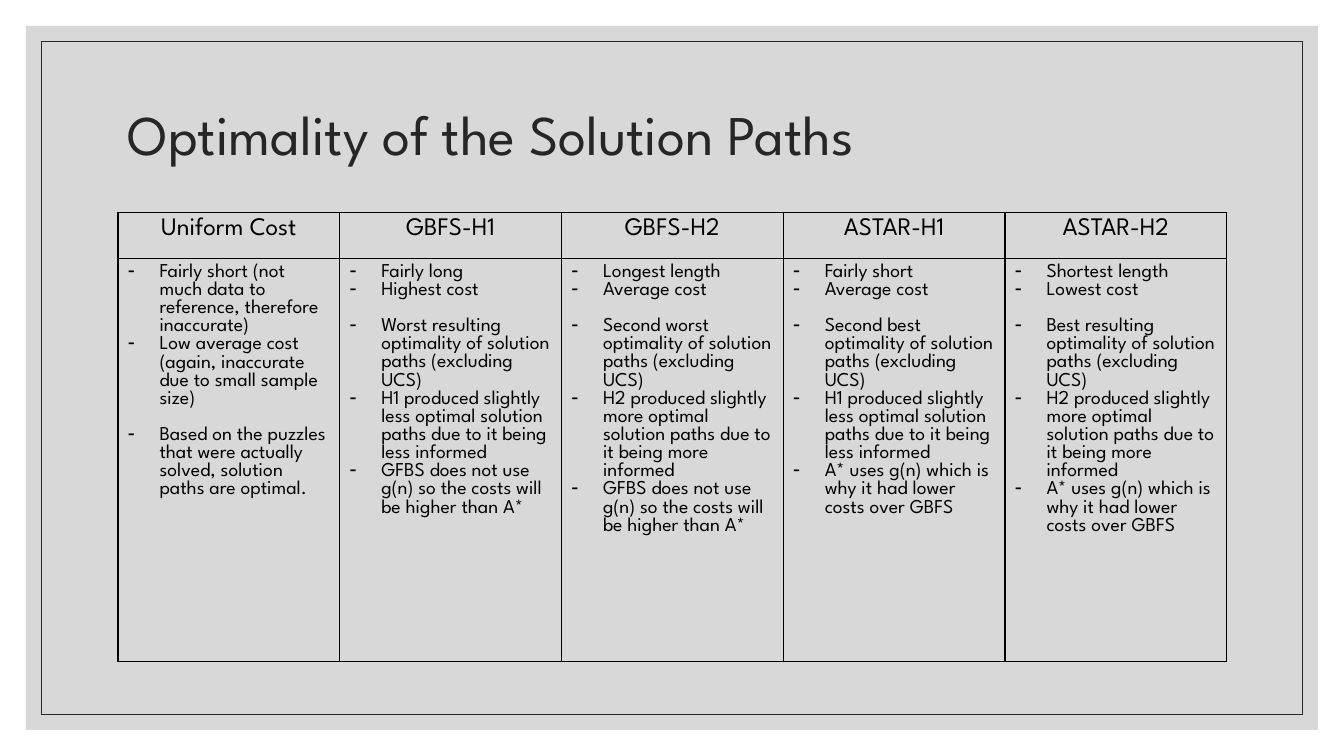
from dataclasses import dataclass
from typing import Optional

from lxml.etree import SubElement
from pptx import Presentation
from pptx.dml.color import RGBColor
from pptx.enum.shapes import MSO_SHAPE
from pptx.enum.text import MSO_ANCHOR, PP_ALIGN
from pptx.oxml.ns import qn
from pptx.util import Pt

FONT = "League Spartan"
INK = "262626"
BLACK = "000000"
PANEL_GREY = "BFBFBF"
SLIDE_WIDTH, SLIDE_HEIGHT = 960, 540
CONTENT_LEFT, CONTENT_WIDTH = 84.24, 792
HEADER_HEIGHT, FINDINGS_HEIGHT = 32.8, 287.8
FINDING_INDENT = 22.5
GROUP_GAP = 12.9


@dataclass(frozen=True)
class Frame:
    margin: float
    fill: Optional[str] = None
    opacity: int = 100
    line: Optional[str] = None


@dataclass(frozen=True)
class Algorithm:
    name: str
    measures: tuple[str, ...]
    conclusions: tuple[str, ...]


FRAMES = (
    Frame(18.6, fill=PANEL_GREY, opacity=60),
    Frame(29.4, line=INK),
)

H1_EFFECT = "H1 produced slightly less optimal solution paths due to it being less informed"
H2_EFFECT = "H2 produced slightly more optimal solution paths due to it being more informed"
GREEDY_COST = "GFBS does not use g(n) so the costs will be higher than A*"
ASTAR_COST = "A* uses g(n) which is why it had lower costs over GBFS"


def ranking(place: str) -> str:
    return f"{place} optimality of solution paths (excluding UCS)"


ALGORITHMS = (
    Algorithm(
        "Uniform Cost",
        (
            "Fairly short (not much data to reference, therefore inaccurate)",
            "Low average cost (again, inaccurate due to small sample size)",
        ),
        ("Based on the puzzles that were actually solved, solution paths are optimal.",),
    ),
    Algorithm("GBFS-H1", ("Fairly long", "Highest cost"),
              (ranking("Worst resulting"), H1_EFFECT, GREEDY_COST)),
    Algorithm("GBFS-H2", ("Longest length", "Average cost"),
              (ranking("Second worst"), H2_EFFECT, GREEDY_COST)),
    Algorithm("ASTAR-H1", ("Fairly short", "Average cost"),
              (ranking("Second best"), H1_EFFECT, ASTAR_COST)),
    Algorithm("ASTAR-H2", ("Shortest length", "Lowest cost"),
              (ranking("Best resulting"), H2_EFFECT, ASTAR_COST)),
)


def color(value: str) -> RGBColor:
    return RGBColor.from_string(value)


def add_run(paragraph, text: str, size: float, ink: str) -> None:
    run = paragraph.add_run()
    run.text = text
    run.font.name = FONT
    run.font.size = Pt(size)
    run.font.color.rgb = color(ink)


def draw_frame(slide, frame: Frame) -> None:
    panel = slide.shapes.add_shape(
        MSO_SHAPE.RECTANGLE, Pt(frame.margin), Pt(frame.margin),
        Pt(SLIDE_WIDTH - 2 * frame.margin), Pt(SLIDE_HEIGHT - 2 * frame.margin))
    panel.shadow.inherit = False
    if frame.fill:
        panel.fill.solid()
        panel.fill.fore_color.rgb = color(frame.fill)
        tint = panel.fill._xPr.find(f"{qn('a:solidFill')}/{qn('a:srgbClr')}")
        SubElement(tint, qn("a:alpha"), val=str(frame.opacity * 1000))
    else:
        panel.fill.background()
    if frame.line:
        panel.line.color.rgb = color(frame.line)
        panel.line.width = Pt(0.5)
    else:
        panel.line.fill.background()


def draw_title(slide, text: str) -> None:
    title = slide.shapes.add_textbox(
        Pt(CONTENT_LEFT), Pt(43.92), Pt(CONTENT_WIDTH), Pt(108)).text_frame
    title.word_wrap = True
    title.vertical_anchor = MSO_ANCHOR.MIDDLE
    heading = title.paragraphs[0]
    heading.line_spacing = 0.9
    add_run(heading, text, 40, INK)


def style_cell(cell) -> None:
    properties = cell._tc.get_or_add_tcPr()
    for side in ("L", "R", "T", "B"):
        border = SubElement(properties, qn(f"a:ln{side}"), w=str(Pt(1)))
        paint = SubElement(border, qn("a:solidFill"))
        SubElement(paint, qn("a:srgbClr"), val=BLACK)
    cell.fill.background()


def write_finding(paragraph, text: str, gap: float) -> None:
    paragraph.space_before = Pt(gap)
    properties = paragraph._p.get_or_add_pPr()
    properties.set("marL", str(Pt(FINDING_INDENT)))
    properties.set("indent", str(-Pt(FINDING_INDENT)))
    SubElement(properties, qn("a:buChar"), char="-")
    add_run(paragraph, text, 14, BLACK)


def fill_column(header, body, algorithm: Algorithm) -> None:
    for cell in (header, body):
        style_cell(cell)
    name = header.text_frame.paragraphs[0]
    name.alignment = PP_ALIGN.CENTER
    add_run(name, algorithm.name, 18, BLACK)
    findings = body.text_frame
    for index, text in enumerate(algorithm.measures + algorithm.conclusions):
        paragraph = findings.add_paragraph() if index else findings.paragraphs[0]
        gap = GROUP_GAP if index == len(algorithm.measures) else 0
        write_finding(paragraph, text, gap)


def draw_comparison(slide, algorithms: tuple[Algorithm, ...]) -> None:
    comparison = slide.shapes.add_table(
        2, len(algorithms), Pt(CONTENT_LEFT), Pt(151.92),
        Pt(CONTENT_WIDTH), Pt(HEADER_HEIGHT + FINDINGS_HEIGHT)).table
    comparison.first_row = False
    comparison.horz_banding = False
    comparison.rows[0].height = Pt(HEADER_HEIGHT)
    comparison.rows[1].height = Pt(FINDINGS_HEIGHT)
    for index, algorithm in enumerate(algorithms):
        comparison.columns[index].width = Pt(CONTENT_WIDTH / len(algorithms))
        fill_column(comparison.cell(0, index), comparison.cell(1, index), algorithm)


def main() -> None:
    presentation = Presentation()
    presentation.slide_width = Pt(SLIDE_WIDTH)
    presentation.slide_height = Pt(SLIDE_HEIGHT)
    slide = presentation.slides.add_slide(presentation.slide_layouts[6])
    for frame in FRAMES:
        draw_frame(slide, frame)
    draw_title(slide, "Optimality of the Solution Paths")
    draw_comparison(slide, ALGORITHMS)
    presentation.save("out.pptx")


if __name__ == "__main__":
    main()
